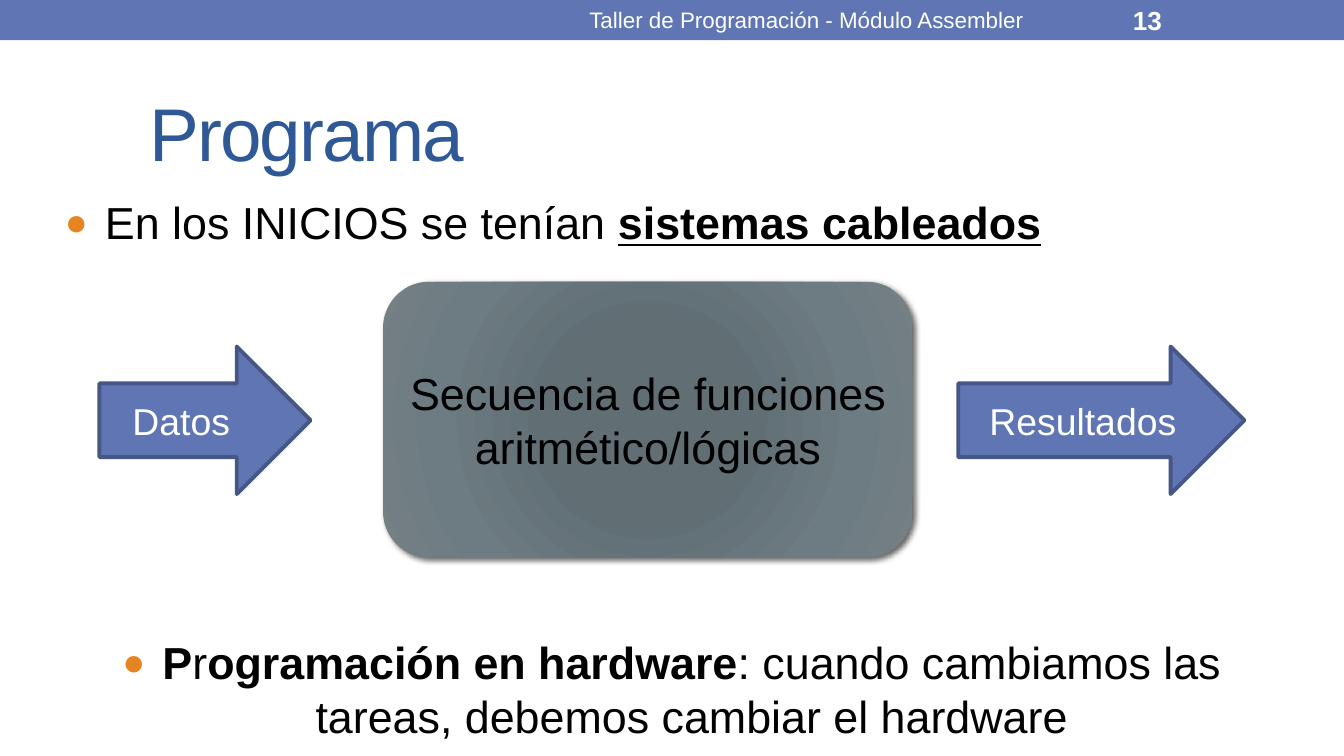
from dataclasses import dataclass

from lxml import etree
from pptx import Presentation
from pptx.dml.color import RGBColor
from pptx.enum.shapes import MSO_SHAPE
from pptx.enum.text import MSO_ANCHOR, MSO_AUTO_SIZE, PP_ALIGN
from pptx.oxml import parse_xml
from pptx.oxml.ns import nsdecls, qn
from pptx.util import Cm, Pt

RECT, ROUND, ARROW = MSO_SHAPE.RECTANGLE, MSO_SHAPE.ROUNDED_RECTANGLE, MSO_SHAPE.RIGHT_ARROW
LEFT, CENTER = PP_ALIGN.LEFT, PP_ALIGN.CENTER
TOP, MIDDLE = MSO_ANCHOR.TOP, MSO_ANCHOR.MIDDLE
BLUE, EDGE, NAVY, ORANGE = "6076B4", "475785", "2F5897", "E68422"
BLACK, WHITE = "000000", "FFFFFF"
STOPS = [(0, "616F75"), (34, "616F75"), (70, "6D7B82"), (100, "758085")]


@dataclass
class Label:
    text: str
    left: float
    top: float
    width: float
    height: float
    size: int
    color: str = WHITE
    align: PP_ALIGN = CENTER
    bold: bool = False


@dataclass
class Run:
    text: str
    bold: bool = False
    under: bool = False


@dataclass
class Bullet:
    runs: list[Run]
    align: PP_ALIGN
    before: float


HEADS = [
    Label("Taller de Programación - Módulo Assembler", 9.53, 0.03, 11.43, 0.69, 12),
    Label("13", 21.16, 0.03, 2.97, 0.69, 14, align=LEFT, bold=True),
]
TITLE = Label("Programa", 2.57, 1.45, 22.86, 2.06, 40, NAVY, LEFT)
CORE = Label("Secuencia de funciones aritmético/lógicas", 7.24, 5.33, 10.01, 5.21, 24, BLACK)
ARROWS = [
    Label("Datos ", 1.88, 6.55, 3.99, 2.79, 20),
    Label("Resultados", 18.11, 6.55, 5.41, 2.79, 20),
]
BULLETS = [
    Bullet([Run("En los INICIOS se tenían "),
            Run("sistemas cableados", bold=True, under=True)], LEFT, 2.5),
    Bullet([Run("P", bold=True), Run("r"), Run("ogramación en hardware", bold=True),
            Run(": cuando cambiamos las tareas, debemos cambiar el hardware")], CENTER, 207),
]


def rgb(code: str) -> RGBColor:
    return RGBColor.from_string(code)


def place(shape, left: float, top: float, width: float, height: float) -> None:
    shape.left, shape.top = Cm(left), Cm(top)
    shape.width, shape.height = Cm(width), Cm(height)


def style(para, size: int, color: str, align: PP_ALIGN) -> None:
    para.alignment = align
    para.font.name, para.font.size = "Arial", Pt(size)
    para.font.color.rgb = rgb(color)


def write(shape, label: Label) -> None:
    """Put the label's text into the shape, centred in height."""
    frame = shape.text_frame
    frame.word_wrap = True
    frame.auto_size = MSO_AUTO_SIZE.NONE
    frame.vertical_anchor = MIDDLE
    frame.text = label.text
    para = frame.paragraphs[0]
    style(para, label.size, label.color, label.align)
    para.font.bold = label.bold


def add_form(slide, kind: MSO_SHAPE, label: Label):
    shape = slide.shapes.add_shape(kind, Cm(label.left), Cm(label.top),
                                   Cm(label.width), Cm(label.height))
    shape.shadow.inherit = False
    shape.fill.solid()
    shape.fill.fore_color.rgb = rgb(BLUE)
    shape.line.fill.background()
    write(shape, label)
    return shape


def add_arrow(slide, label: Label) -> None:
    shape = add_form(slide, ARROW, label)
    shape.line.color.rgb = rgb(EDGE)
    shape.line.width = Pt(2.08)


def add_core(slide, label: Label) -> None:
    """Add the rounded box with its radial gradient and soft shadow."""
    props = add_form(slide, ROUND, label)._element.spPr
    stops = "".join(f'<a:gs pos="{pos * 1000}"><a:srgbClr val="{code}"/></a:gs>'
                    for pos, code in STOPS)
    grad = parse_xml(
        f'<a:gradFill {nsdecls("a")}><a:gsLst>{stops}</a:gsLst><a:path path="circle">'
        '<a:fillToRect l="50000" t="50000" r="50000" b="50000"/></a:path></a:gradFill>')
    props.replace(props.find(qn("a:solidFill")), grad)
    shade = parse_xml(
        f'<a:outerShdw {nsdecls("a")} blurRad="{Pt(3)}" dist="{Pt(2)}" dir="2700000">'
        f'<a:srgbClr val="{BLACK}"><a:alpha val="60000"/></a:srgbClr></a:outerShdw>')
    props.find(qn("a:effectLst")).append(shade)


def add_head(slide, label: Label) -> None:
    box = slide.shapes.add_textbox(0, 0, 0, 0)
    place(box, label.left, label.top, label.width, label.height)
    write(box, label)


def set_title(shape, label: Label) -> None:
    place(shape, label.left, label.top, label.width, label.height)
    write(shape, label)
    shape.text_frame.paragraphs[0].runs[0].font._element.set("spc", "-100")


def mark(para) -> None:
    """Give the paragraph a hanging orange dot."""
    props = para._p.get_or_add_pPr()
    props.set("marL", str(Cm(0.76)))
    props.set("indent", str(-Cm(0.76)))
    color = etree.Element(qn("a:buClr"))
    etree.SubElement(color, qn("a:srgbClr"), val=ORANGE)
    parts = [color, etree.Element(qn("a:buSzPct"), val="85000"),
             etree.Element(qn("a:buFont"), typeface="Arial"),
             etree.Element(qn("a:buChar"), char="●")]
    spot = props.index(props.find(qn("a:defRPr")))
    props[spot:spot] = parts


def set_body(shape, bullets: list[Bullet]) -> None:
    place(shape, 0.97, 3.56, 23.44, 10.49)
    frame = shape.text_frame
    frame.auto_size = MSO_AUTO_SIZE.NONE
    frame.vertical_anchor = TOP
    for i, item in enumerate(bullets):
        para = frame.add_paragraph() if i else frame.paragraphs[0]
        style(para, 24, BLACK, item.align)
        para.space_before = Pt(item.before)
        mark(para)
        for part in item.runs:
            run = para.add_run()
            run.text = part.text
            run.font.name, run.font.size = "Arial", Pt(24)
            run.font.bold, run.font.underline = part.bold, part.under


def main() -> None:
    deck = Presentation()
    deck.slide_width, deck.slide_height = Cm(25.4), Cm(14.29)
    slide = deck.slides.add_slide(deck.slide_layouts[1])
    add_form(slide, RECT, Label("", 0, 0, 25.4, 0.76, 12))
    for head in HEADS:
        add_head(slide, head)
    set_title(slide.shapes.title, TITLE)
    set_body(slide.placeholders[1], BULLETS)
    add_core(slide, CORE)
    for arrow in ARROWS:
        add_arrow(slide, arrow)
    deck.save("out.pptx")


if __name__ == "__main__":
    main()
